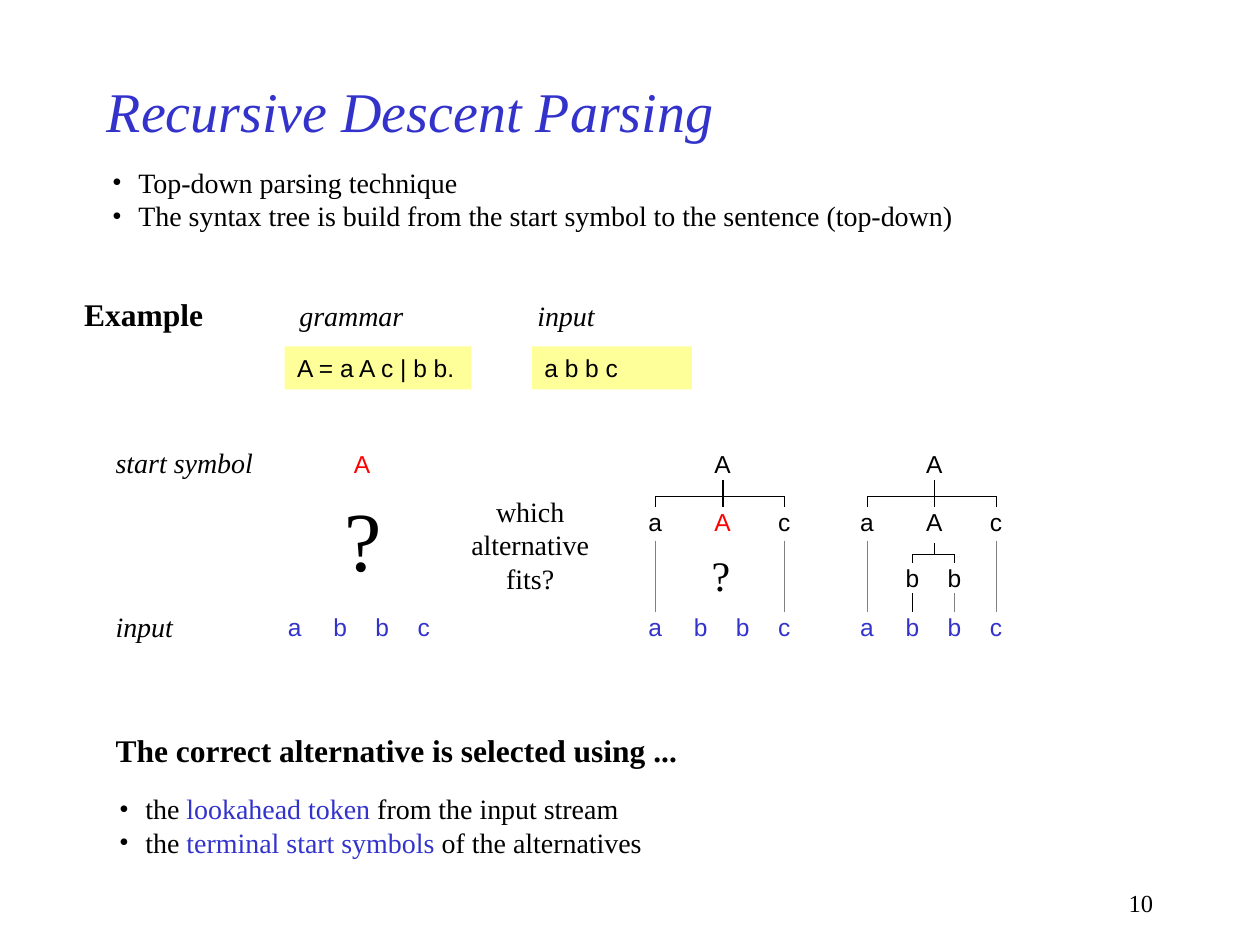
from dataclasses import dataclass

from lxml import etree
from pptx import Presentation
from pptx.dml.color import RGBColor
from pptx.enum.shapes import MSO_CONNECTOR, MSO_SHAPE
from pptx.enum.text import MSO_ANCHOR, MSO_AUTO_SIZE, PP_ALIGN
from pptx.oxml.ns import qn
from pptx.util import Pt

STRAIGHT = MSO_CONNECTOR.STRAIGHT
RECTANGLE = MSO_SHAPE.RECTANGLE
TOP, MIDDLE = MSO_ANCHOR.TOP, MSO_ANCHOR.MIDDLE
LEFT, CENTER, RIGHT = PP_ALIGN.LEFT, PP_ALIGN.CENTER, PP_ALIGN.RIGHT
FIT_TEXT = MSO_AUTO_SIZE.SHAPE_TO_FIT_TEXT
TOP_SIDE = 0


@dataclass(frozen=True)
class Theme:
    serif: str = "Times New Roman"
    sans: str = "Arial"
    black: str = "000000"
    blue: str = "3333CC"
    red: str = "FF0000"
    gray: str = "808080"
    yellow: str = "FFFF99"
    title: int = 32
    heading: int = 18
    body: int = 16
    code: int = 14
    large_mark: int = 48
    small_mark: int = 24
    rule: float = 0.75
    indent: int = 15


THEME = Theme()

LETTER_HEIGHT = 16.6
LETTER_WIDTHS = {"a": 8.2, "b": 8.2, "c": 7.4, "A": 9.8}
CENTER_A, CENTER_B1, CENTER_ROOT, CENTER_B2, CENTER_C = 4, 30, 42.6, 54, 77.8
SENTENCE = list(zip("abbc", (CENTER_A, CENTER_B1, CENTER_B2, CENTER_C)))
ROOT_ROW, CHILD_ROW, LEAF_ROW, INPUT_ROW = 256.6, 289.9, 321.8, 349.9
ROOT_BUS, CHILD_BUS = 283.7, 316.8


def add_span(para, text, *, size, font, color, bold=False, italic=False):
    span = para.add_run()
    span.text = text
    span.font.size = Pt(size)
    span.font.name = font
    span.font.color.rgb = RGBColor.from_string(color)
    span.font.bold = bold
    span.font.italic = italic


class SlideBuilder:
    def __init__(self, page, theme):
        self.page = page
        self.theme = theme

    def fill_text(self, box, lines, *, align=LEFT, anchor=TOP, wrap=False, fit=True,
                  inset=(7.2, 3.6), bullet=False, size=None, font=None, color=None,
                  bold=False, italic=False):
        frame = box.text_frame
        frame.word_wrap = wrap
        frame.vertical_anchor = anchor
        frame.margin_left = frame.margin_right = Pt(inset[0])
        frame.margin_top = frame.margin_bottom = Pt(inset[1])
        if fit:
            frame.auto_size = FIT_TEXT
        color = color or self.theme.black
        for index, line in enumerate(lines):
            para = frame.add_paragraph() if index else frame.paragraphs[0]
            para.alignment = align
            if bullet:
                self.mark_bullet(para)
            pieces = [(line, color)] if isinstance(line, str) else line
            for text, tint in pieces:
                add_span(para, text, size=size or self.theme.body,
                         font=font or self.theme.serif, color=tint,
                         bold=bold, italic=italic)

    def mark_bullet(self, para):
        properties = para._p.get_or_add_pPr()
        properties.set("marL", str(Pt(self.theme.indent)))
        properties.set("indent", str(-Pt(self.theme.indent)))
        tint = etree.SubElement(properties, qn("a:buClr"))
        etree.SubElement(tint, qn("a:srgbClr"), val=self.theme.black)
        etree.SubElement(properties, qn("a:buFont"), typeface=self.theme.serif)
        etree.SubElement(properties, qn("a:buChar"), char="•")

    def text(self, lines, left, top, width, height, **style):
        box = self.page.shapes.add_textbox(Pt(left), Pt(top), Pt(width), Pt(height))
        self.fill_text(box, lines, **style)
        return box

    def panel(self, text, left, top, width, height, **style):
        box = self.page.shapes.add_shape(RECTANGLE, Pt(left), Pt(top), Pt(width), Pt(height))
        box.shadow.inherit = False
        box.fill.solid()
        box.fill.fore_color.rgb = RGBColor.from_string(self.theme.yellow)
        box.line.fill.background()
        self.fill_text(box, [text], size=self.theme.code, font=self.theme.sans, **style)

    def letter(self, symbol, center, top, color=None):
        width = LETTER_WIDTHS[symbol]
        return self.text([symbol], center - width / 2, top, width, LETTER_HEIGHT,
                         inset=(0, 0), size=self.theme.code, font=self.theme.sans,
                         color=color)

    def line(self, x1, y1, x2, y2, color=None):
        connector = self.page.shapes.add_connector(STRAIGHT, Pt(x1), Pt(y1), Pt(x2), Pt(y2))
        connector.line.width = Pt(self.theme.rule)
        connector.line.color.rgb = RGBColor.from_string(color or self.theme.black)
        etree.SubElement(connector._element.spPr, qn("a:effectLst"))
        return connector

    def branch(self, center, start, box, color=None):
        connector = self.line(center, start, center, box.top.pt, color)
        connector.end_connect(box, TOP_SIDE)

    def sentence(self, left):
        return [self.letter(symbol, left + center, INPUT_ROW, self.theme.blue)
                for symbol, center in SENTENCE]

    def tree(self, left, child_color):
        a, b1, root, b2, c = (left + center for center in (
            CENTER_A, CENTER_B1, CENTER_ROOT, CENTER_B2, CENTER_C))
        tokens = self.sentence(left)
        self.letter("A", root, ROOT_ROW)
        self.line(a, ROOT_BUS, c, ROOT_BUS)
        self.branch(root, ROOT_BUS - 9.4, self.letter("A", root, CHILD_ROW, child_color))
        for symbol, center, token in (("a", a, tokens[0]), ("c", c, tokens[-1])):
            self.branch(center, ROOT_BUS, self.letter(symbol, center, CHILD_ROW))
            self.branch(center, CHILD_ROW + 19, token, self.theme.gray)
        return root, ((b1, tokens[1], self.theme.black), (b2, tokens[2], self.theme.gray))

    def expanded_tree(self, left):
        root, leaves = self.tree(left, self.theme.black)
        self.line(root, CHILD_BUS - 6.5, root, CHILD_BUS)
        self.line(leaves[0][0], CHILD_BUS, leaves[1][0], CHILD_BUS)
        for center, token, color in leaves:
            self.branch(center, CHILD_BUS, self.letter("b", center, LEAF_ROW))
            self.branch(center, LEAF_ROW + 17.3, token, color)


def main():
    deck = Presentation()
    deck.slide_width, deck.slide_height = Pt(720), Pt(540)
    page = deck.slides.add_slide(deck.slide_layouts[6])
    build = SlideBuilder(page, THEME)
    black, blue = THEME.black, THEME.blue

    build.text(["Recursive Descent Parsing"], 54, 36, 540, 54, size=THEME.title,
               color=blue, italic=True, anchor=MIDDLE, wrap=True, fit=False)
    build.text(["Top-down parsing technique",
                "The syntax tree is build from the start symbol to the sentence (top-down)"],
               57, 91, 498, 46, bullet=True)

    build.text(["Example"], 41, 165, 112, 29, size=THEME.heading, bold=True)
    for label, left, top, width in (("grammar", 164, 167, 77), ("input", 300, 167, 50),
                                    ("start symbol", 59, 251, 96),
                                    ("input", 59, 345, 50)):
        build.text([label], left, top, width, 26.6, italic=True)
    build.panel("A = a A c | b b.", 162.7, 198, 106.6, 24.5)
    build.panel("a b b c", 304, 198, 91.4, 24.5, wrap=True)

    build.sentence(164.6)
    build.letter("A", 164.6 + CENTER_ROOT, ROOT_ROW, THEME.red)
    build.text(["?"], 190, 275, 37, 64.8, size=THEME.large_mark)
    build.text(["which", "alternative", "fits?"], 260, 279, 86, 64.8, align=CENTER)

    build.tree(370.6, THEME.red)
    build.text(["?"], 399.6, 310.3, 27, 36, size=THEME.small_mark)
    build.expanded_tree(491.6)

    build.text(["The correct alternative is selected using ..."],
               59, 414, 339, 29, size=THEME.heading, bold=True)
    build.text([[("the", black), (" lookahead token", blue), (" from the input stream", black)],
                [("the", black), (" terminal start symbols", blue),
                 (" of the alternatives", black)]],
               61, 449, 317, 46, bullet=True)
    build.text(["10"], 516, 504, 150, 24, size=THEME.code, align=RIGHT, wrap=True, fit=False)

    deck.save("out.pptx")


if __name__ == "__main__":
    main()
